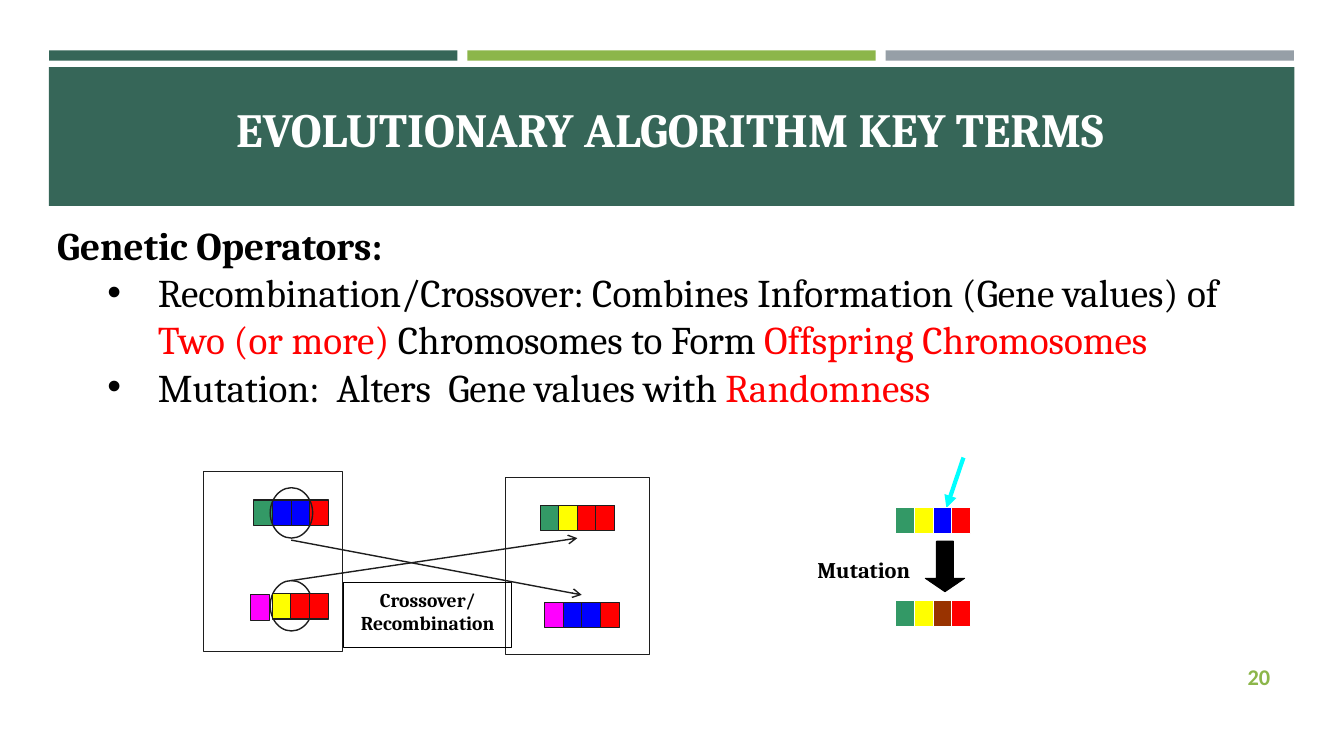
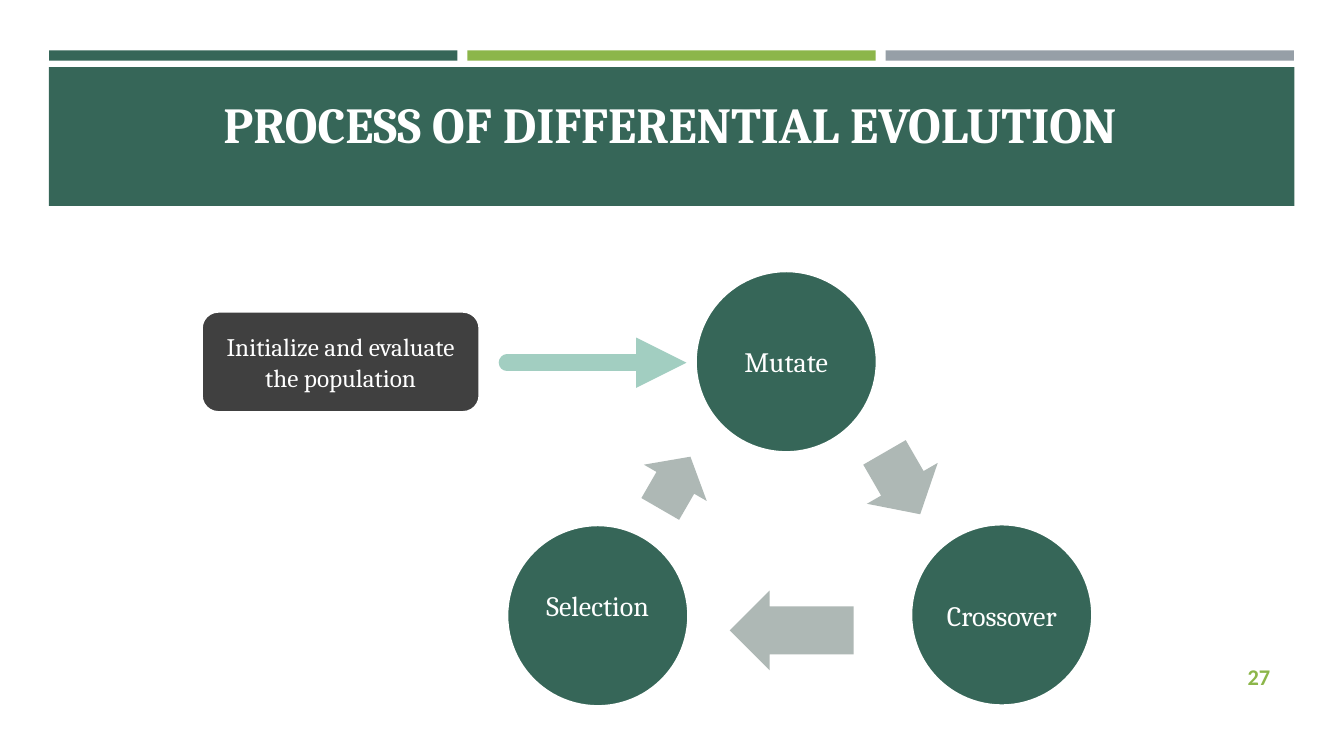
from dataclasses import dataclass

from lxml.etree import SubElement
from pptx import Presentation
from pptx.dml.color import RGBColor
from pptx.enum.shapes import MSO_CONNECTOR, MSO_SHAPE as Preset
from pptx.enum.text import MSO_ANCHOR as Anchor, PP_ALIGN as Align
from pptx.oxml.ns import qn
from pptx.util import Cm, Pt


@dataclass(frozen=True)
class Theme:
    heading_font: str = "Cambria"
    number_font: str = "Calibri"
    green: str = "366658"
    lime: str = "8CB64A"
    gray: str = "969FA7"
    mint: str = "A2CEC1"
    sage: str = "AEB8B5"
    charcoal: str = "404040"
    outline: str = "1E1E1E"
    white: str = "FFFFFF"
    black: str = "000000"
    accent: str = "FF0000"
    pointer: str = "00FFFF"
    body_size: int = 28
    node_size: int = 20
    start_size: int = 18
    label_size: int = 16
    caption_size: int = 14
    thin: float = 0.75
    medium: float = 1
    node_line: float = 1.75


THEME = Theme()
GENES = {
    "green": "339966", "blue": "0000FF", "red": "FF0000",
    "yellow": "FFFF00", "magenta": "FF00FF", "brown": "993300",
}

# Content: positions and sizes are in centimetres
TERMS_TITLE = {"text": "EVOLUTIONARY ALGORITHM KEY TERMS", "top": 1.35, "size": 34}
PROCESS_TITLE = {"text": "PROCESS OF DIFFERENTIAL EVOLUTION", "top": 1.25, "size": 36}

RED = {"color": THEME.accent}
OPERATORS = [
    [("Genetic Operators:", {"bold": True})],
    [
        ("Recombination/Crossover: Combines Information (Gene values) of ", {}),
        ("Two (or more) ", RED),
        ("Chromosomes to Form ", {}),
        ("Offspring Chromosomes", RED),
    ],
    [("Mutation:  Alters  Gene values with ", {}), ("Randomness", RED)],
]

CROSSOVER_PANELS = [(12.75, 12.04, 3.61, 4.45), (5.13, 11.89, 3.51, 4.52)]
FIRST_PARENT = (6.4, 12.6, "green blue blue red")
OTHER_CHROMOSOMES = [
    (6.32, 14.99, "magenta"),
    (6.86, 14.96, "yellow red red"),
    (13.61, 12.73, "green yellow red red"),
    (13.72, 15.18, "magenta blue blue red"),
]
MUTATION_CHROMOSOMES = [
    (22.58, 12.8, "green yellow blue red"),
    (22.58, 15.14, "green yellow brown red"),
]
SWAPPED_GENES = [(6.81, 12.29, 1.07, 1.27), (6.81, 14.63, 1.07, 1.27)]
SWAP_ARROWS = [((7.34, 13.61), (14.66, 14.99)), ((7.34, 14.63), (14.55, 13.56))]
GENE_PITCH, GENE_WIDTH, GENE_HEIGHT = 0.47, 0.48, 0.64

CYCLE_DIAMETER = 4.57
CYCLE_STEPS = [  # name, left, top, space under the text
    ("Mutate", 17.53, 6.83, 0),
    ("Selection", 12.78, 13.23, 0.5),
    ("Crossover", 22.96, 13.21, 0),
]
CYCLE_ARROWS = [
    ((16.26, 11.25, 1.52, 1.83), 300),
    ((21.84, 11.15, 1.8, 2.06), 60),
    ((18.39, 14.88, 3.12, 2.01), 180),
]


def rgb(color):
    return RGBColor.from_string(color)


def write_text(box, lines, *, size, color=THEME.black, bold=False,
               font=THEME.heading_font, align=Align.LEFT, anchor=Anchor.TOP,
               margins=None, wrap=True):
    """Fill a shape; a line is a string or a list of (text, overrides)."""
    frame = box.text_frame
    frame.word_wrap = wrap
    frame.vertical_anchor = anchor
    if margins is not None:
        (frame.margin_left, frame.margin_top,
         frame.margin_right, frame.margin_bottom) = map(Cm, margins)
    for index, line in enumerate(lines):
        para = frame.add_paragraph() if index else frame.paragraphs[0]
        para.alignment = align
        for text, overrides in [(line, {})] if isinstance(line, str) else line:
            span = para.add_run()
            span.text = text
            span.font.name = font
            span.font.size = Pt(size)
            span.font.bold = overrides.get("bold", bold)
            span.font.color.rgb = rgb(overrides.get("color", color))
    return frame


def add_text(page, bounds, lines, **text_format):
    return write_text(page.shapes.add_textbox(*map(Cm, bounds)), lines, **text_format)


def add_bullet(para):
    properties = para._p.get_or_add_pPr()
    properties.set("marL", str(Cm(2.54)))
    properties.set("indent", str(-Cm(1.27)))
    SubElement(properties, qn("a:buFont")).set("typeface", "Arial")
    SubElement(properties, qn("a:buChar")).set("char", "•")


def add_preset(page, preset, bounds, *, fill=None, line=None, width=THEME.thin):
    shape = page.shapes.add_shape(preset, *map(Cm, bounds))
    shape.shadow.inherit = False
    if fill:
        shape.fill.solid()
        shape.fill.fore_color.rgb = rgb(fill)
    else:
        shape.fill.background()
    if line:
        shape.line.color.rgb = rgb(line)
        shape.line.width = Pt(width)
    else:
        shape.line.fill.background()
    return shape


def add_arrow(page, start, end, *, color, width, head="triangle", cap="flat"):
    arrow = page.shapes.add_connector(
        MSO_CONNECTOR.STRAIGHT, *map(Cm, start), *map(Cm, end))
    arrow.line.color.rgb = rgb(color)
    arrow.line.width = Pt(width)
    outline = arrow.line._get_or_add_ln()
    outline.set("cap", cap)
    SubElement(outline, qn("a:tailEnd")).set("type", head)
    SubElement(arrow._element.spPr, qn("a:effectLst"))


def add_chromosome(page, left, top, genes, line=THEME.outline):
    for index, gene in enumerate(genes.split()):
        bounds = (left + index * GENE_PITCH, top, GENE_WIDTH, GENE_HEIGHT)
        add_preset(page, Preset.RECTANGLE, bounds, fill=GENES[gene], line=line)


def add_bands(page, layout):
    """Draw the bands and hand them to the layout, behind its placeholders."""
    bands = [add_preset(page, Preset.RECTANGLE, (1.23, 1.69, 31.39, 3.5), fill=THEME.green)]
    for index, color in enumerate((THEME.green, THEME.lime, THEME.gray)):
        bounds = (1.24 + index * 10.54, 1.27, 10.29, 0.26)
        bands.append(add_preset(page, Preset.RECTANGLE, bounds, fill=color))
    for band in bands:
        layout.shapes._spTree.insert(2, band._element)


def add_page(deck, layout, title, number):
    page = deck.slides.add_slide(layout)
    box = page.shapes.title
    box.left, box.top, box.width, box.height = map(Cm, (1.57, title["top"], 30.63, 2.74))
    write_text(box, [title["text"]], size=title["size"], color=THEME.white,
               bold=True, align=Align.CENTER, anchor=Anchor.BOTTOM)
    add_text(page, (29.34, 16.54, 2.92, 1.02), [number], size=THEME.label_size,
             color=THEME.lime, bold=True, font=THEME.number_font,
             align=Align.RIGHT, anchor=Anchor.MIDDLE)
    return page


def draw_crossover(page):
    for bounds in CROSSOVER_PANELS:
        add_preset(page, Preset.RECTANGLE, bounds, fill=THEME.white, line=THEME.outline)
    add_chromosome(page, *FIRST_PARENT)
    for bounds in SWAPPED_GENES:
        add_preset(page, Preset.OVAL, bounds, line=THEME.outline, width=THEME.medium)
    caption = add_preset(page, Preset.RECTANGLE, (8.66, 14.68, 4.24, 1.65), line=THEME.black)
    write_text(caption, ["Crossover/", "Recombination"], size=THEME.caption_size,
               bold=True, align=Align.CENTER)
    for chromosome in OTHER_CHROMOSOMES:
        add_chromosome(page, *chromosome)
    for start, end in SWAP_ARROWS:
        add_arrow(page, start, end, color=THEME.outline, width=THEME.medium, head="arrow")


def draw_mutation(page):
    add_arrow(page, (24.28, 11.53), (23.85, 12.8), color=THEME.pointer, width=3)
    for chromosome in MUTATION_CHROMOSOMES:
        add_chromosome(page, *chromosome, line=THEME.white)
    arrow = add_preset(page, Preset.DOWN_ARROW, (23.32, 13.64, 0.99, 1.27),
                       fill=THEME.black, line=THEME.black)
    arrow.adjustments[0], arrow.adjustments[1] = 0.43, 0.34
    add_text(page, (20.6, 14.02, 2.67, 0.69), ["Mutation"], size=THEME.label_size,
             bold=True, margins=(0, 0, 0, 0), wrap=False)


def draw_start(page):
    start = add_preset(page, Preset.ROUNDED_RECTANGLE, (5.08, 7.85, 7.01, 2.54),
                       fill=THEME.charcoal, line=THEME.white, width=THEME.node_line)
    write_text(start, ["Initialize and evaluate the population"], size=THEME.start_size,
               color=THEME.white, align=Align.CENTER, anchor=Anchor.MIDDLE)
    add_arrow(page, (12.78, 9.14), (17.3, 9.14), color=THEME.mint, width=12, cap="rnd")


def draw_cycle(page):
    for name, left, top, space_under in CYCLE_STEPS:
        step = add_preset(page, Preset.OVAL, (left, top, CYCLE_DIAMETER, CYCLE_DIAMETER),
                          fill=THEME.green, line=THEME.white, width=THEME.node_line)
        write_text(step, [name], size=THEME.node_size, color=THEME.white,
                   align=Align.CENTER, anchor=Anchor.MIDDLE, margins=(0, 0, 0, space_under))
    for bounds, angle in CYCLE_ARROWS:
        arrow = add_preset(page, Preset.RIGHT_ARROW, bounds, fill=THEME.sage)
        arrow.adjustments[0], arrow.adjustments[1] = 0.6, 0.5
        arrow.rotation = angle


def main():
    deck = Presentation()
    deck.slide_width, deck.slide_height = Cm(33.87), Cm(19.05)
    title_only = deck.slide_layouts[5]

    terms = add_page(deck, title_only, TERMS_TITLE, "20")
    add_bands(terms, title_only)
    body = add_text(terms, (1.19, 5.46, 31.37, 5.05), OPERATORS, size=THEME.body_size)
    for para in body.paragraphs[1:]:
        add_bullet(para)
    draw_crossover(terms)
    draw_mutation(terms)

    process = add_page(deck, title_only, PROCESS_TITLE, "27")
    draw_start(process)
    draw_cycle(process)

    deck.save("out.pptx")


if __name__ == "__main__":
    main()
